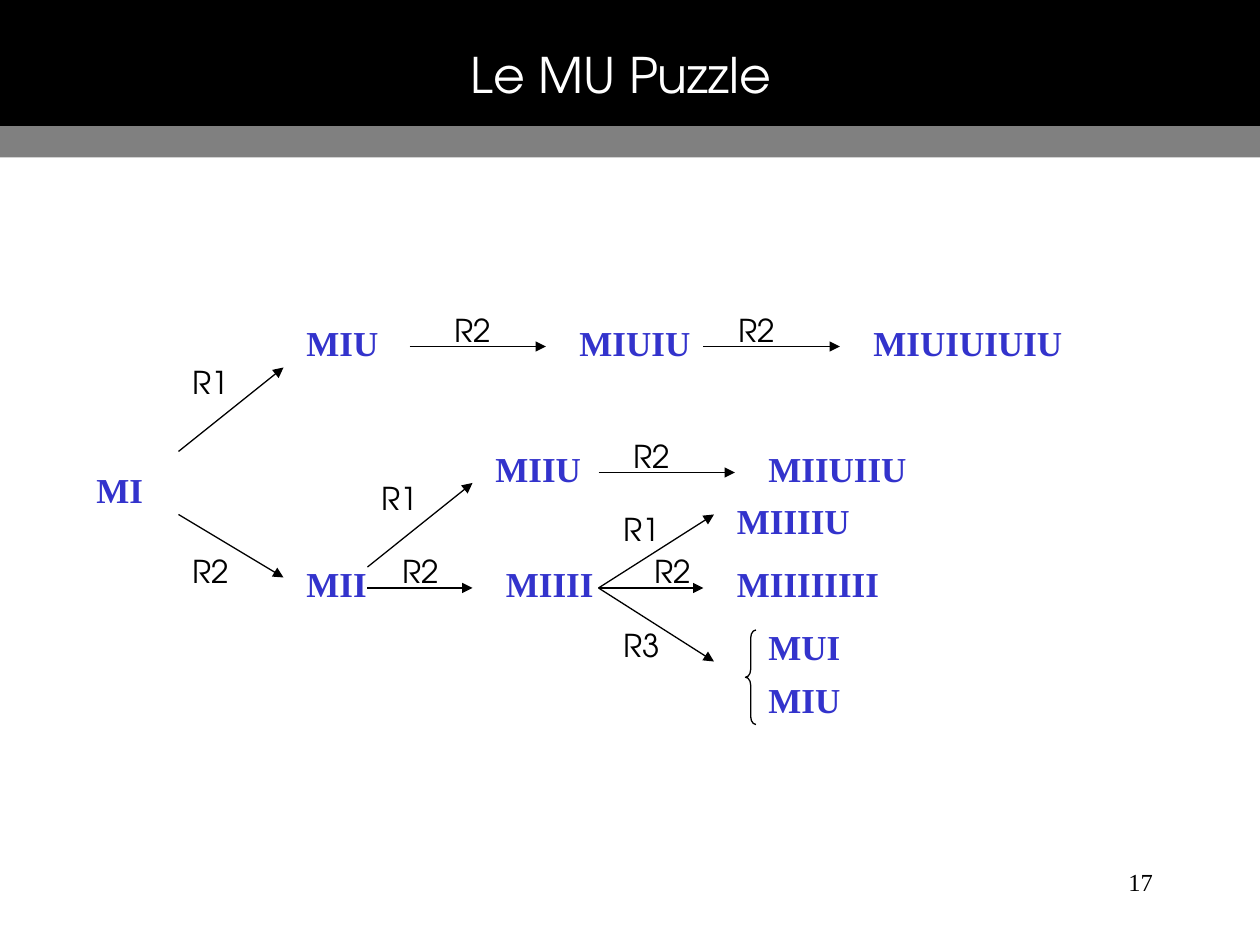
from lxml import etree
from pptx import Presentation
from pptx.dml.color import RGBColor
from pptx.enum.shapes import MSO_CONNECTOR, MSO_SHAPE
from pptx.enum.text import MSO_ANCHOR, MSO_AUTO_SIZE, PP_ALIGN
from pptx.oxml.ns import qn
from pptx.util import Pt

LINE = MSO_CONNECTOR.STRAIGHT
RECT, BRACE = MSO_SHAPE.RECTANGLE, MSO_SHAPE.LEFT_BRACE
MIDDLE, TOP = MSO_ANCHOR.MIDDLE, MSO_ANCHOR.TOP
FIT, FIXED = MSO_AUTO_SIZE.SHAPE_TO_FIT_TEXT, MSO_AUTO_SIZE.NONE
LEFT, CENTER, RIGHT = PP_ALIGN.LEFT, PP_ALIGN.CENTER, PP_ALIGN.RIGHT

BLACK = RGBColor(0, 0, 0)
WHITE = RGBColor(255, 255, 255)
GRAY = RGBColor(128, 128, 128)
BLUE = RGBColor(0x33, 0x33, 0xCC)
SANS, SERIF = "TeX Gyre Adventor", "Times New Roman"

# word, x, y, width
WORDS = [
    ("MI", 0, 90, 41.5),
    ("MIU", 120, 6, 56),
    ("MIUIU", 276, 6, 78.5),
    ("MIUIUIUIU", 444, 6, 123),
    ("MII", 120, 144, 49.5),
    ("MIIU", 228, 78, 64),
    ("MIIUIIU", 384, 78, 94),
    ("MIIII", 234, 144, 65),
    ("MIIIIU", 366, 108, 79.5),
    ("MIIIIIIII", 366, 144, 96.5),
    ("MUI", 384, 180, 56),
    ("MIU", 384, 210, 56),
]

# rule, label x and y, arrow start, arrow end
STEPS = [
    ("R1", 55, 30, (54, 84), (114, 36)),
    ("R2", 55, 138, (54, 120), (114, 156)),
    ("R2", 204.7, 0, (186, 24), (264, 24)),
    ("R2", 366.7, 0, (354, 24), (432, 24)),
    ("R1", 163, 96, (162, 150), (222, 102)),
    ("R2", 175, 138, (162, 162), (222, 162)),
    ("R2", 307, 72, (294, 96), (372, 96)),
    ("R1", 301, 114, (294, 162), (360, 120)),
    ("R2", 319, 138, (294, 162), (354, 162)),
    ("R3", 301, 180, (294, 162), (360, 204)),
]


def add_text(slide, text, box, font, size, color, bold=False, align=LEFT,
             anchor=TOP, wrap=False, pads=(7.2, 3.6, 7.2, 3.6)):
    """Add a one-run text box; pads run left, top, right, bottom."""
    frame = slide.shapes.add_textbox(*map(Pt, box)).text_frame
    frame.word_wrap = wrap
    frame.auto_size = FIXED if wrap else FIT
    frame.vertical_anchor = anchor
    (frame.margin_left, frame.margin_top,
     frame.margin_right, frame.margin_bottom) = map(Pt, pads)
    para = frame.paragraphs[0]
    para.alignment = align
    run = para.add_run()
    run.text = text
    run.font.name, run.font.size, run.font.bold = font, Pt(size), bold
    run.font.color.rgb = color


def add_band(slide, box, color):
    """Add a plain filled band."""
    band = slide.shapes.add_shape(RECT, *map(Pt, box))
    band.shadow.inherit = False
    band.fill.solid()
    band.fill.fore_color.rgb = color
    band.line.fill.background()


def add_arrow(slide, start, end):
    """Add a thin black arrow with a triangle head at its end."""
    arrow = slide.shapes.add_connector(LINE, *map(Pt, start + end))
    arrow.line.color.rgb = BLACK
    arrow.line.width = Pt(0.75)
    props = arrow.line._get_or_add_ln()
    etree.SubElement(props, qn("a:tailEnd"), type="triangle")
    etree.SubElement(arrow._element.spPr, qn("a:effectLst"))


def add_brace(slide, box):
    """Add the brace that groups the two results of a rule."""
    brace = slide.shapes.add_shape(BRACE, *map(Pt, box))
    brace.shadow.inherit = False
    brace.adjustments[0] = 0.75
    brace.fill.background()
    brace.line.color.rgb = BLACK
    brace.line.width = Pt(0.75)


def add_header(slide, left, top, width, height):
    """Place the two bands and the title in the header box."""
    dark = height * 0.8
    add_band(slide, (left, top + dark, width, height - dark), GRAY)
    add_band(slide, (left, top, width, dark), BLACK)
    add_text(slide, "Le MU Puzzle", (left + 48, top + 12, 612, dark - 12),
             SANS, 28, WHITE, align=CENTER, anchor=MIDDLE, wrap=True,
             pads=(5.76, 0.72, 4.32, 0.72))


def add_tree(slide, left, top):
    """Place the derivation tree from its top left corner."""
    for rule, x, y, start, end in STEPS:
        add_arrow(slide, (left + start[0], top + start[1]),
                  (left + end[0], top + end[1]))
        add_text(slide, rule, (left + x, top + y, 36, 29), SANS, 18, BLACK)
    for word, x, y, width in WORDS:
        add_text(slide, word, (left + x, top + y, width, 31.5),
                 SERIF, 20, BLUE, bold=True)
    add_brace(slide, (left + 378, top + 186, 6, 54))


def add_footer(slide, *box):
    """Place the page number in the footer box."""
    add_text(slide, "17", box, SERIF, 14, BLACK, align=RIGHT, wrap=True)


def main():
    """Build and save the slide."""
    deck = Presentation()
    deck.slide_width, deck.slide_height = Pt(720), Pt(540)
    slide = deck.slides.add_slide(deck.slide_layouts[6])
    add_header(slide, 0, 0, 720, 90)
    add_tree(slide, 48, 174)
    add_footer(slide, 516, 492, 150, 36)
    deck.save("out.pptx")


if __name__ == "__main__":
    main()
